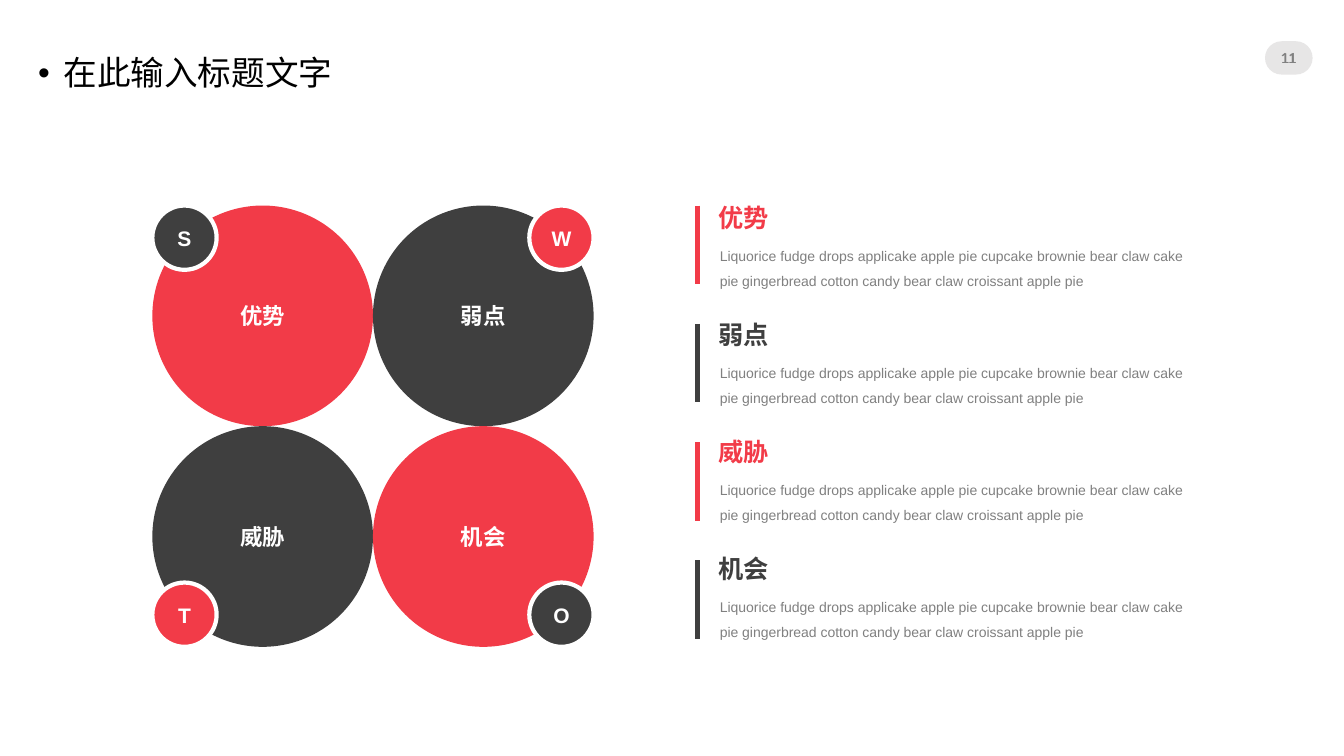
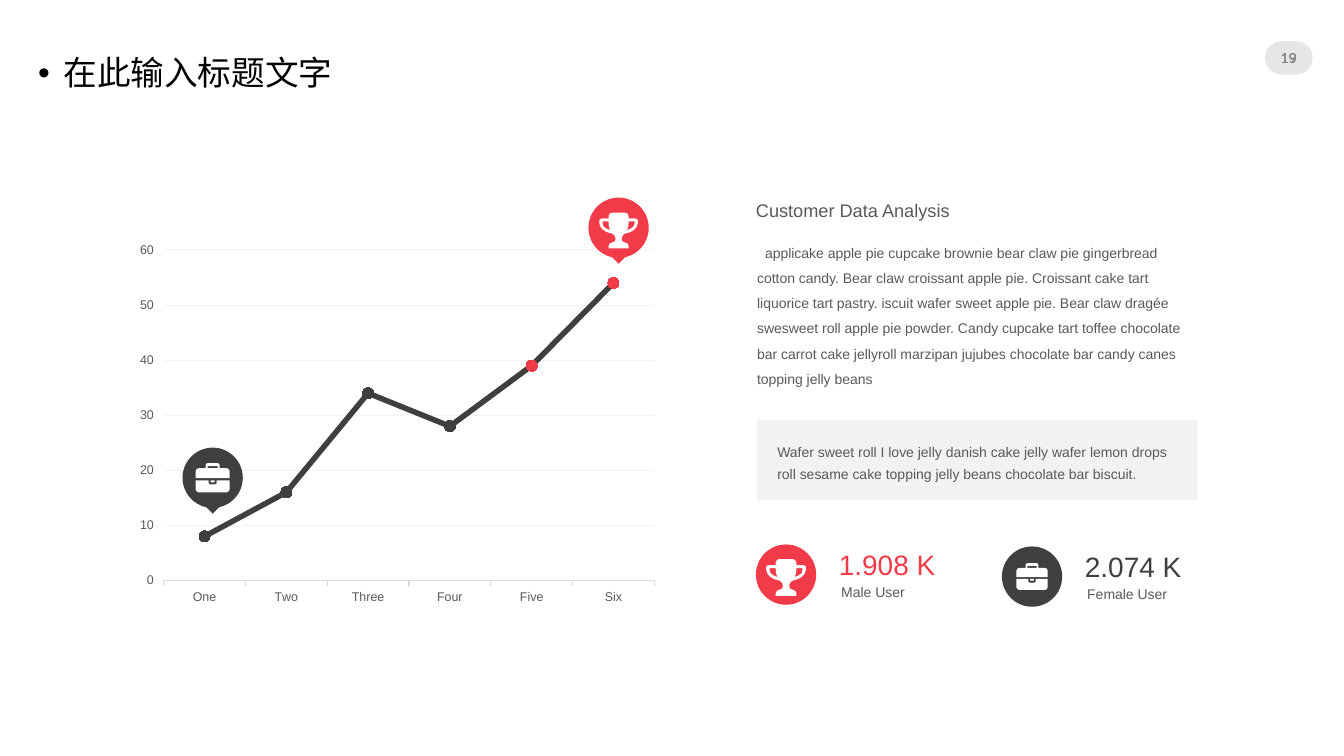
from pptx import Presentation
from pptx.chart.data import CategoryChartData as ChartData
from pptx.dml.color import RGBColor as RGB
from pptx.enum.chart import XL_CHART_TYPE as CT, XL_MARKER_STYLE as MS, XL_TICK_MARK as TM
from pptx.enum.shapes import MSO_CONNECTOR as MC, MSO_SHAPE as SH
from pptx.enum.text import MSO_ANCHOR as VA, PP_ALIGN as AL
from pptx.oxml import parse_xml
from pptx.oxml.ns import nsdecls, qn
from pptx.util import Cm, Pt
from lxml import etree

RED = RGB(0xF2, 0x3B, 0x48)
DARK = RGB(0x3F, 0x3F, 0x3F)
TEXT = RGB(0x59, 0x59, 0x59)
GRAY = RGB(0x80, 0x80, 0x80)
PILL = RGB(0xE7, 0xE6, 0xE6)
PALE = RGB(0xF2, 0xF2, 0xF2)
RULE = RGB(0xD9, 0xD9, 0xD9)
WHITE = RGB(0xFF, 0xFF, 0xFF)
BLACK = RGB(0, 0, 0)

TITLE = "在此输入标题文字"
BLURB = ("Liquorice fudge drops applicake apple pie cupcake brownie bear claw cake "
         "pie gingerbread cotton candy bear claw croissant apple pie")
SWOT = [("优势", "S", RED, DARK), ("弱点", "W", DARK, RED),
        ("威胁", "T", DARK, RED), ("机会", "O", RED, DARK)]
NOTES = [("优势", RED), ("弱点", DARK), ("威胁", RED), ("机会", DARK)]

TREND = {"One": 8, "Two": 16, "Three": 34, "Four": 28, "Five": 39, "Six": 54}
CHART = (3.53, 5.87, 13.16, 12.01)
PLOT = (0.39, 0.43, 12.57, 8.33)
HEAD = "Customer Data Analysis"
STORY = ("applicake apple pie cupcake brownie bear claw pie gingerbread cotton candy. "
         "Bear claw croissant apple pie. Croissant cake tart liquorice tart pastry. "
         "iscuit wafer sweet apple pie. Bear claw dragée swesweet roll apple pie powder. "
         "Candy cupcake tart toffee chocolate bar carrot cake jellyroll marzipan jujubes "
         "chocolate bar candy canes topping jelly beans")
QUOTE = ("Wafer sweet roll I love jelly danish cake jelly wafer lemon drops "
         "roll sesame cake topping jelly beans chocolate bar biscuit.")

CUP = {
    "mid": 15.5,
    "halves": [[(6.5, 0), (9, 1), (10.3, 3.5), (10.3, 6), (17, 6), (19, 6.7), (19.7, 8),
                (19.7, 11), (18.5, 14.5), (16, 17.5), (12, 20), (6.5, 21.5), (4.5, 23),
                (3.5, 25), (3.2, 27.5), (4, 29.5), (6.5, 30.5), (9, 31.5), (10.3, 34),
                (10.3, 36.5)]],
    "sides": [[(10.3, 9), (10, 14), (8.5, 18), (12.5, 16.3), (15.5, 14), (16.3, 11),
               (16.3, 9)]],
}
CASE = {
    "mid": 14.5,
    "halves": [[(5, 0), (6.5, 0.5), (7, 2), (7, 5), (14, 5), (16, 6), (17, 8), (17, 15)],
               [(5, 3), (5, 5)],
               [(2, 17), (2, 19)],
               [(3, 21), (4, 20), (4, 17), (17, 17), (17, 26), (16, 28), (14, 29)]],
    "sides": [],
}
DISC = 1.52
PINS = [(14.83, 4.98, RED, CUP, 0.97), (4.6, 11.28, DARK, CASE, 0.86)]
STATS = [(19.05, 13.72, RED, CUP, 1, "1.908 K", "Male User"),
         (25.25, 13.77, DARK, CASE, 0.79, "2.074 K", "Female User")]


def place(box):
    return [Cm(v) for v in box]


def write(shape, text, size, color, bold=False, font="Arial", align=AL.LEFT,
          anchor=VA.TOP, pad=(0, 0), space=None):
    frame = shape.text_frame
    frame.word_wrap = True
    frame.vertical_anchor = anchor
    frame.margin_left = frame.margin_right = Cm(pad[0])
    frame.margin_top = frame.margin_bottom = Cm(pad[1])
    para = frame.paragraphs[0]
    para.alignment = align
    if space:
        para.line_spacing = space
    run = para.add_run()
    run.text = text
    run.font.size = Pt(size)
    run.font.name = font
    run.font.bold = bold
    run.font.color.rgb = color
    return para


def label(slide, box, text, size, color, **style):
    return write(slide.shapes.add_textbox(*place(box)), text, size, color, **style)


def paint(shape, fill, edge=None):
    shape.shadow.inherit = False
    shape.fill.solid()
    shape.fill.fore_color.rgb = fill
    if edge:
        shape.line.color.rgb = edge
        shape.line.width = Pt(3)
    else:
        shape.line.fill.background()
    return shape


def add(slide, kind, box, fill, edge=None):
    return paint(slide.shapes.add_shape(kind, *place(box)), fill, edge)


def indent(para, left, first):
    props = para._p.get_or_add_pPr()
    props.set("marL", str(Cm(left)))
    props.set("indent", str(Cm(first)))
    return props


def start(deck, number, font):
    slide = deck.slides.add_slide(deck.slide_layouts[6])
    pill = (31.88, 1.04, 1.2, 0.84)
    add(slide, SH.ROUNDED_RECTANGLE, pill, PILL).adjustments[0] = 0.5
    for face in ("Lato", "Arial"):
        label(slide, pill, number, 10, GRAY, font=face, align=AL.CENTER, anchor=VA.MIDDLE)
    para = label(slide, (0.71, 1.3, 10.6, 1.17), TITLE, 24, BLACK, font=font,
                 pad=(0.25, 0.13), space=0.9)
    props = indent(para, 0.64, -0.64)
    etree.SubElement(props, qn("a:buFont")).set("typeface", "Arial")
    etree.SubElement(props, qn("a:buChar")).set("char", "•")
    return slide


def flip(points):
    return [(-x, y) for x, y in points]


def icon(slide, art, x, y, width):
    loops = [half + flip(half)[::-1] for half in art["halves"]]
    for side in art["sides"]:
        loops += [side, flip(side)]
    loops = [[(round(10 * a), round(10 * b)) for a, b in loop] for loop in loops]
    span = 2 * max(a for loop in loops for a, b in loop)
    unit = Cm(width) / span
    pen = slide.shapes.build_freeform(*loops[0][0], scale=unit)
    for i, loop in enumerate(loops):
        if i:
            pen.move_to(*loop[0])
        pen.add_line_segments(loop[1:], close=True)
    top = Cm(y) - round(10 * art["mid"] * unit)
    paint(pen.convert_to_shape(Cm(x), top), WHITE)


def badge(slide, x, y, color, art, width):
    add(slide, SH.OVAL, (x, y, DISC, DISC), color)
    icon(slide, art, x + DISC / 2, y + DISC / 2, width)


def swot(deck):
    slide = start(deck, "11", "Arial")
    left, top, big, small = 3.84, 5.18, 5.56, 1.62
    mid = {"align": AL.CENTER, "anchor": VA.MIDDLE, "bold": True}
    for size, step, col, points, edge in ((big, big, 0, 16, None),
                                          (small, 2 * big - small, 1, 15, WHITE)):
        for i, item in enumerate(SWOT):
            box = (left + i % 2 * step, top + i // 2 * step, size, size)
            disc = add(slide, SH.OVAL, box, item[2 + col], edge)
            write(disc, item[col], points, WHITE, **mid)
    for i, (name, color) in enumerate(NOTES):
        y = top + 2.95 * i
        label(slide, (18.11, y, 11.91, 0.84), name, 18, color, bold=True, space=0.9)
        label(slide, (18.14, y + 0.84, 11.89, 1.42), BLURB, 10, GRAY, space=1.5)
        y = top + 2.98 * i
        bar = slide.shapes.add_connector(MC.STRAIGHT, *place((17.58, y, 17.58, y + 1.98)))
        bar.line.color.rgb = color
        bar.line.width = Pt(4)
        etree.SubElement(bar._element.spPr, qn("a:effectLst"))


def graph(slide):
    data = ChartData()
    data.categories = list(TREND)
    data.add_series("Series 1", list(TREND.values()))
    chart = slide.shapes.add_chart(CT.LINE_MARKERS, *place(CHART), data).chart
    chart.has_legend = chart.has_title = False
    chart.font.name = "Arial"
    chart.font.size = Pt(10)
    chart.font.color.rgb = BLACK
    cats, vals = chart.category_axis, chart.value_axis
    for axis in (cats, vals):
        axis.major_tick_mark = TM.OUTSIDE
        axis.minor_tick_mark = TM.NONE
        face = axis.tick_labels.font
        face.name, face.size, face.color.rgb = "Arial", Pt(9), TEXT
    vals.minimum_scale, vals.maximum_scale, vals.major_unit = 0, 60, 10
    vals.has_major_gridlines = True
    vals.format.line.fill.background()
    for line, color in ((cats.format.line, RULE), (vals.major_gridlines.format.line, PALE)):
        line.color.rgb = color
        line.width = Pt(0.75)
    plot = chart.plots[0]
    plot.vary_by_categories = False
    row = plot.series[0]
    row.smooth = False
    row.format.line.color.rgb = DARK
    row.format.line.width = Pt(4)
    row.marker.style, row.marker.size = MS.CIRCLE, 8
    for i in range(len(TREND)):
        color = RED if i > 3 else DARK
        point = row.points[i]
        point.format.line.color.rgb = color
        point.format.line.width = Pt(4)
        mark = point.marker
        mark.style, mark.size = MS.CIRCLE, 8
        mark.format.fill.solid()
        mark.format.fill.fore_color.rgb = color
        mark.format.line.fill.background()
    area = chart.element.find(".//" + qn("c:plotArea"))
    for old in area.findall(qn("c:layout")):
        area.remove(old)
    spots = [("layoutTarget", "inner"), ("xMode", "edge"), ("yMode", "edge")]
    spots += [(key, PLOT[i] / CHART[2 + i % 2]) for i, key in enumerate("xywh")]
    inner = "".join(f'<c:{k} val="{v}"/>' for k, v in spots)
    area.insert(0, parse_xml(f'<c:layout {nsdecls("c")}><c:manualLayout>{inner}'
                             '</c:manualLayout></c:layout>'))


def trend(deck):
    slide = start(deck, "19", "Lato")
    graph(slide)
    for x, y, color, art, width in PINS:
        add(slide, SH.RECTANGLE, (x + 0.48, y + 0.99, 0.56, 0.56), color).rotation = 45
        badge(slide, x, y, color, art, width)
    label(slide, (19.05, 5.08, 10.92, 0.84), HEAD, 13, TEXT, space=0.9)
    para = label(slide, (19.08, 5.94, 11.1, 4.5), STORY, 10, TEXT, space=1.5)
    indent(para, 0, 0.2)
    panel = add(slide, SH.RECTANGLE, (19.08, 10.59, 11.1, 2.01), PALE)
    write(panel, QUOTE, 10, TEXT, anchor=VA.MIDDLE, pad=(0.51, 0.13), space=1.3)
    for x, y, color, art, width, value, name in STATS:
        badge(slide, x, y, color, art, width)
        label(slide, (x + 1.84, y - 0.06, 3.02, 1.12), value, 20, color, pad=(0.25, 0.13))
        label(slide, (x + 2.15, y + 0.98, 2.2, 0.43), name, 10, TEXT)


def main():
    deck = Presentation()
    deck.slide_width, deck.slide_height = Cm(33.87), Cm(19.05)
    swot(deck)
    trend(deck)
    deck.save("out.pptx")


if __name__ == "__main__":
    main()
